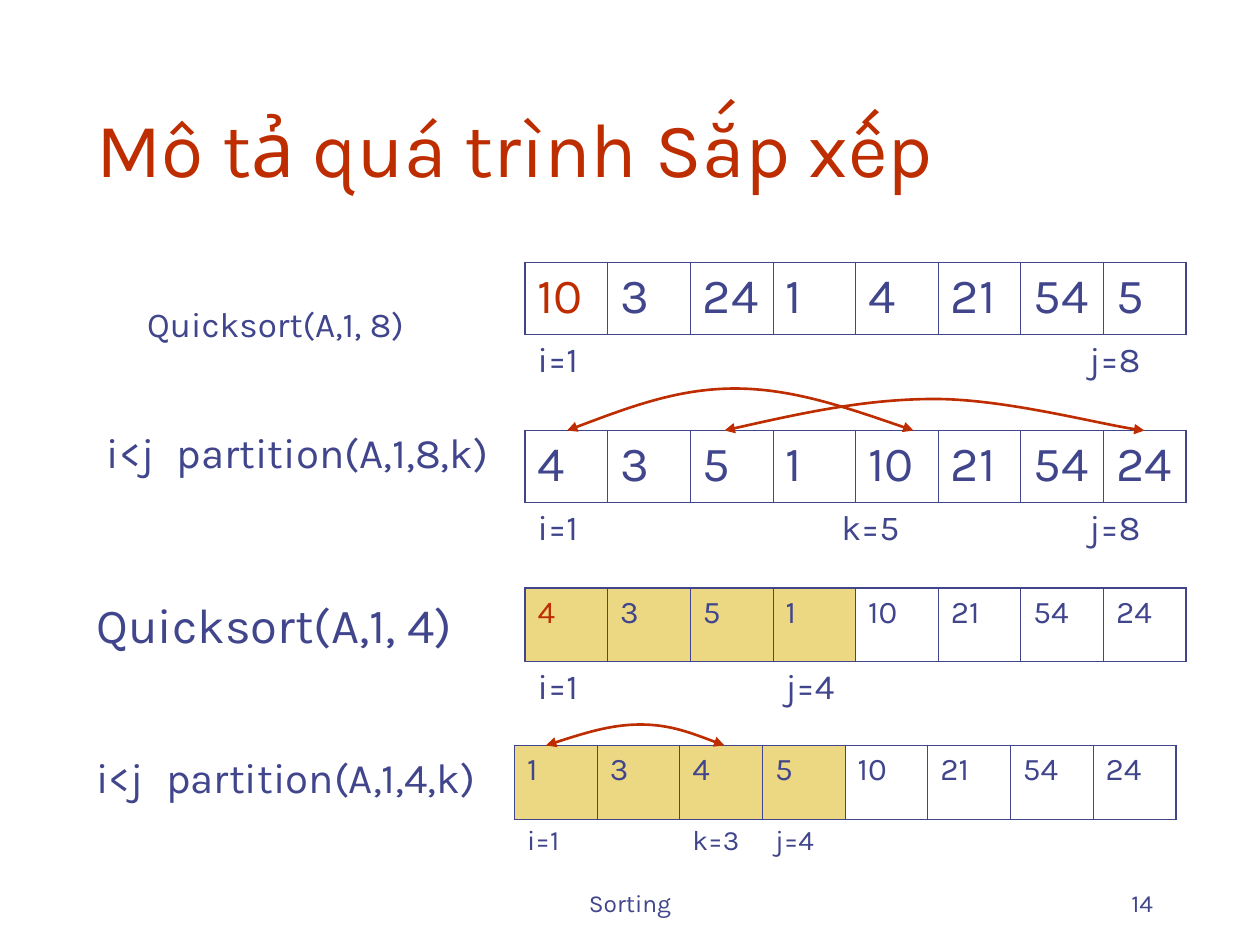
from lxml import etree
from pptx import Presentation
from pptx.dml.color import RGBColor
from pptx.enum.text import MSO_ANCHOR, PP_ALIGN
from pptx.oxml.ns import qn
from pptx.util import Pt

TOP, BOTTOM = MSO_ANCHOR.TOP, MSO_ANCHOR.BOTTOM
LEFT, CENTER, RIGHT = PP_ALIGN.LEFT, PP_ALIGN.CENTER, PP_ALIGN.RIGHT
INK = RGBColor(0x40, 0x45, 0x8C)
RED = RGBColor(0xBE, 0x2D, 0x00)
SAND = RGBColor(0xEC, 0xD8, 0x82)
FONT = "Karla"
PLAIN_STYLE = "{2D5ABB26-0587-4C30-8999-92F81FD0307C}"
COLUMNS, COLUMN_WIDTH = 8, 47.25
THIN, THICK = 0.45, 1.08
LABEL_INDENT = 32
PARTITION_TAB = 40

TITLE = "Mô tả quá trình Sắp xếp"
CAPTIONS = [
    ("Sorting", (246, 492, 228, 36), 14, CENTER, BOTTOM, 1),
    ("14", (516, 492, 150, 36), 14, RIGHT, BOTTOM, 1),
    ("Quicksort(A,1, 8)", (77, 172, 193, 49), 20, LEFT, TOP, 0.9),
    ("i<j\tpartition(A,1,8,k)", (54, 240, 252, 36), 24, LEFT, TOP, 1),
    ("Quicksort(A,1, 4)", (48, 336, 234, 54), 28, LEFT, TOP, 1),
    ("i<j\tpartition(A,1,4,k)", (48, 426, 252, 36), 24, LEFT, TOP, 1),
]
# Label entries: first column, last column, text, indent
ARRAYS = [
    dict(at=(300, 150), heights=(41, 31), sizes=(28, 20), active=0, pivot=True,
         numbers=[10, 3, 24, 1, 4, 21, 54, 5],
         labels=[(0, 1, "i=1", 0), (6, 7, "j=8", LABEL_INDENT)]),
    dict(at=(300, 246), heights=(41, 31), sizes=(28, 20), active=0, pivot=False,
         numbers=[4, 3, 5, 1, 10, 21, 54, 24],
         labels=[(0, 1, "i=1", 0), (3, 5, "k=5", LABEL_INDENT),
                 (6, 7, "j=8", LABEL_INDENT)]),
    dict(at=(300, 336), heights=(42, 42), sizes=(18, 20), active=4, pivot=True,
         numbers=[4, 3, 5, 1, 10, 21, 54, 24],
         labels=[(0, 1, "i=1", 0), (3, 5, "j=4", 0), (6, 7, "", 0)]),
    dict(at=(294, 426), heights=(42, 42), sizes=(18, 16), active=4, pivot=False,
         numbers=[1, 3, 4, 5, 10, 21, 54, 24],
         labels=[(0, 1, "i=1", 0), (2, 2, "k=3", 0), (3, 5, "j=4", 0),
                 (6, 7, "", 0)]),
]
SWAPS = [
    [(414, 246), (454, 237), (494, 228), (534, 228), (574, 228), (634, 244), (654, 246)],
    [(324, 246), (356, 234), (387, 222), (420, 222), (453, 222), (487, 234), (522, 246)],
    [(312, 426), (330.5, 420), (349, 414), (366, 414), (383, 414), (398, 420), (414, 426)],
]


def write(frame, text, size, color=INK, align=LEFT, spacing=1):
    paragraph = frame.paragraphs[0]
    paragraph.text = text
    for name, value in dict(alignment=align, line_spacing=spacing,
                            space_before=Pt(0)).items():
        setattr(paragraph, name, value)
    if "\t" in text:
        stops = etree.SubElement(paragraph._p.get_or_add_pPr(), qn("a:tabLst"))
        etree.SubElement(stops, qn("a:tab"), pos=str(Pt(PARTITION_TAB)), algn="l")
    for name, value in dict(name=FONT, size=Pt(size)).items():
        setattr(paragraph.font, name, value)
    paragraph.font.color.rgb = color


def add_caption(slide, text, box, size, align, anchor, spacing):
    frame = slide.shapes.add_textbox(*map(Pt, box)).text_frame
    frame.word_wrap = True
    frame.vertical_anchor = anchor
    write(frame, text, size, align=align, spacing=spacing)


def add_border(cell, side, width):
    line = etree.SubElement(cell._tc.get_or_add_tcPr(), qn(f"a:ln{side}"), w=str(Pt(width)))
    fill = etree.SubElement(line, qn("a:solidFill"))
    etree.SubElement(fill, qn("a:srgbClr"), val=str(INK))


def add_array(slide, at, heights, sizes, active, pivot, numbers, labels):
    box = (*at, COLUMNS * COLUMN_WIDTH, sum(heights))
    table = slide.shapes.add_table(2, COLUMNS, *map(Pt, box)).table
    table.first_row = table.horz_banding = False
    table._tbl.tblPr.find(qn("a:tableStyleId")).text = PLAIN_STYLE
    for column in table.columns:
        column.width = Pt(COLUMN_WIDTH)
    for row, height in zip(table.rows, heights):
        row.height = Pt(height)
    for index, number in enumerate(numbers):
        cell = table.cell(0, index)
        write(cell.text_frame, str(number), sizes[0], RED if pivot and index == 0 else INK)
        add_border(cell, "L", THICK if index == 0 else THIN)
        add_border(cell, "R", THICK if index == COLUMNS - 1 else THIN)
        add_border(cell, "T", THICK)
        add_border(cell, "B", THIN)
        if index < active:
            cell.fill.solid()
            cell.fill.fore_color.rgb = SAND
        else:
            cell.fill.background()
        table.cell(1, index).fill.background()
    for first, last, text, indent in labels:
        cell = table.cell(1, first)
        if last > first:
            cell.merge(table.cell(1, last))
        cell.margin_left = Pt(7.2 + indent)
        if text:
            write(cell.text_frame, text, sizes[1])


def add_swap(slide, points):
    start, *rest = [(Pt(x), Pt(y)) for x, y in points]
    builder = slide.shapes.build_freeform(*start)
    builder.add_line_segments(rest, close=False)
    arc = builder.convert_to_shape()
    arc.shadow.inherit = False
    arc.fill.background()
    arc.line.color.rgb = RED
    arc.line.width = Pt(1.5)
    for end in ("headEnd", "tailEnd"):
        etree.SubElement(arc.line._get_or_add_ln(), qn(f"a:{end}"), type="triangle")
    outline = next(arc._element.iter(qn("a:path")))
    segments = outline.findall(qn("a:lnTo"))
    for index, segment in enumerate(segments):
        if index % 3 == 0:
            curve = etree.SubElement(outline, qn("a:cubicBezTo"))
        curve.append(segment[0])
        outline.remove(segment)


def main():
    deck = Presentation()
    deck.slide_width, deck.slide_height = Pt(720), Pt(540)
    slide = deck.slides.add_slide(deck.slide_layouts[5])
    title = slide.shapes.title
    for name, value in dict(left=48, top=24, width=612, height=90).items():
        setattr(title, name, Pt(value))
    title.text_frame.vertical_anchor = BOTTOM
    write(title.text_frame, TITLE, 44, RED)
    for caption in CAPTIONS:
        add_caption(slide, *caption)
    for array in ARRAYS:
        add_array(slide, **array)
    for points in SWAPS:
        add_swap(slide, points)
    deck.save("out.pptx")


if __name__ == "__main__":
    main()
